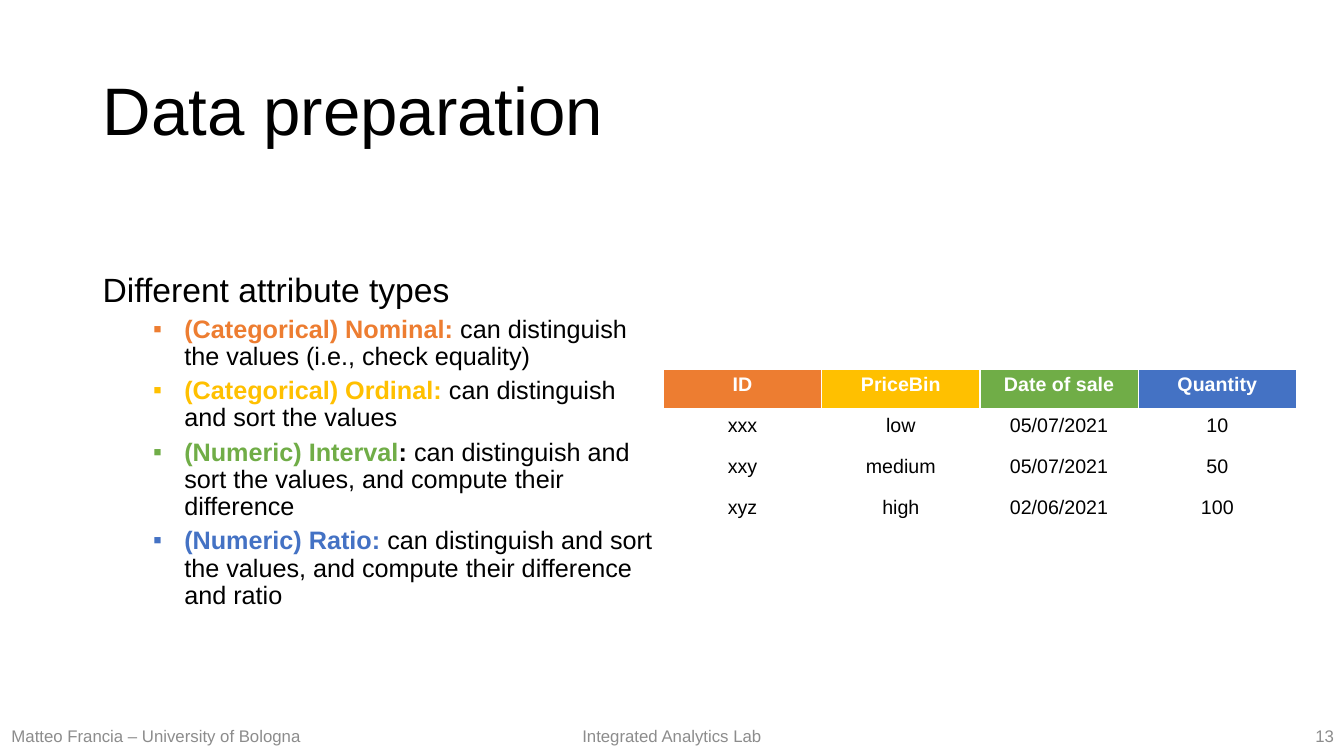
from dataclasses import dataclass

from lxml import etree
from pptx import Presentation
from pptx.dml.color import RGBColor
from pptx.enum.text import MSO_ANCHOR as Anchor, MSO_AUTO_SIZE as AutoSize, PP_ALIGN as Align
from pptx.oxml.ns import qn
from pptx.util import Inches, Pt


@dataclass(frozen=True)
class Theme:
    font: str = "Arial"
    black: str = "000000"
    white: str = "FFFFFF"
    gray: str = "8C8C8C"
    nominal: str = "ED7D31"
    ordinal: str = "FFC000"
    interval: str = "70AD47"
    ratio: str = "4472C4"
    title_size: int = 48
    lead_size: int = 24
    bullet_size: int = 18
    table_size: int = 14
    footer_size: int = 12


THEME = Theme()

ATTRIBUTE_TYPES = [
    [("(Categorical) Nominal: ", THEME.nominal, True),
     ("can distinguish the values (i.e., check equality)", THEME.black, False)],
    [("(Categorical) Ordinal: ", THEME.ordinal, True),
     ("can distinguish and sort the values", THEME.black, False)],
    [("(Numeric) Interval", THEME.interval, True),
     (": ", THEME.black, True),
     ("can distinguish and sort the values, and compute their difference", THEME.black, False)],
    [("(Numeric) Ratio: ", THEME.ratio, True),
     ("can distinguish and sort the values, and compute their difference and ratio",
      THEME.black, False)],
]

SALES = [
    ["ID", "PriceBin", "Date of sale", "Quantity"],
    ["xxx", "low", "05/07/2021", "10"],
    ["xxy", "medium", "05/07/2021", "50"],
    ["xyz", "high", "02/06/2021", "100"],
]


class SlideBuilder:
    def __init__(self, presentation, theme):
        self.theme = theme
        self.slide = presentation.slides.add_slide(presentation.slide_layouts[5])

    def add_run(self, paragraph, text, size, color, bold=False):
        run = paragraph.add_run()
        run.text = text
        font = run.font
        font.name, font.size, font.bold = self.theme.font, Pt(size), bold
        font.color.rgb = RGBColor.from_string(color)

    def title(self, text, left, top, width, height):
        shape = self.slide.shapes.title
        shape.left, shape.top = Inches(left), Inches(top)
        shape.width, shape.height = Inches(width), Inches(height)
        frame = shape.text_frame
        frame.auto_size = AutoSize.NONE
        frame.vertical_anchor = Anchor.MIDDLE
        paragraph = frame.paragraphs[0]
        paragraph.alignment, paragraph.line_spacing = Align.LEFT, 0.9
        self.add_run(paragraph, text, self.theme.title_size, self.theme.black)

    def text_frame(self, left, top, width, height):
        box = self.slide.shapes.add_textbox(
            Inches(left), Inches(top), Inches(width), Inches(height))
        frame = box.text_frame
        frame.word_wrap = True
        frame.vertical_anchor = Anchor.MIDDLE
        return frame

    def footer(self, text, left, width, alignment):
        paragraph = self.text_frame(left, 7.1, width, 0.4).paragraphs[0]
        paragraph.alignment = alignment
        self.add_run(paragraph, text, self.theme.footer_size, self.theme.gray)

    def bullet_list(self, lead, items, left, top, width, height):
        frame = self.text_frame(left, top, width, height)
        paragraph = frame.paragraphs[0]
        paragraph.line_spacing, paragraph.space_before = 0.9, Pt(10)
        self.add_run(paragraph, lead, self.theme.lead_size, self.theme.black)
        for runs in items:
            paragraph = frame.add_paragraph()
            paragraph.level = 1
            paragraph.line_spacing, paragraph.space_before = 0.9, Pt(5)
            self.set_bullet(paragraph, "▪")
            for text, color, bold in runs:
                self.add_run(paragraph, text, self.theme.bullet_size, color, bold)

    def set_bullet(self, paragraph, symbol):
        properties = paragraph._p.get_or_add_pPr()
        properties.set("marL", str(Inches(0.81)))
        properties.set("indent", str(Inches(-0.31)))
        etree.SubElement(properties, qn("a:buFont"), typeface=self.theme.font)
        etree.SubElement(properties, qn("a:buChar"), char=symbol)

    def set_borders(self, cell, top, bottom):
        properties = cell._tc.get_or_add_tcPr()
        for side, width in (("L", 1), ("R", 1), ("T", top), ("B", bottom)):
            line = etree.SubElement(properties, qn(f"a:ln{side}"), w=str(Pt(width)))
            fill = etree.SubElement(line, qn("a:solidFill"))
            etree.SubElement(fill, qn("a:srgbClr"), val=self.theme.white)

    def table(self, rows, header_colors, left, top, column_width, row_height):
        table = self.slide.shapes.add_table(
            len(rows), len(rows[0]), Inches(left), Inches(top),
            Inches(column_width * len(rows[0])), Inches(row_height * len(rows))).table
        table.horz_banding = False
        for column in table.columns:
            column.width = Inches(column_width)
        for row_index, values in enumerate(rows):
            table.rows[row_index].height = Inches(row_height)
            header = row_index == 0
            for column_index, text in enumerate(values):
                cell = table.cell(row_index, column_index)
                # The rule under the header is thicker than the others
                self.set_borders(cell, 3 if row_index == 1 else 1, 3 if header else 1)
                if header:
                    cell.fill.solid()
                    cell.fill.fore_color.rgb = RGBColor.from_string(header_colors[column_index])
                else:
                    cell.fill.background()
                paragraph = cell.text_frame.paragraphs[0]
                paragraph.alignment = Align.CENTER
                color = self.theme.white if header else self.theme.black
                self.add_run(paragraph, text, self.theme.table_size, color, header)


def main():
    presentation = Presentation()
    presentation.slide_width, presentation.slide_height = Inches(13.33), Inches(7.5)
    builder = SlideBuilder(presentation, THEME)

    # Title and attribute types
    builder.title("Data preparation", 0.92, 0.4, 11.5, 1.45)
    builder.bullet_list("Different attribute types", ATTRIBUTE_TYPES, 0.92, 2, 5.67, 4.76)

    # Example table, coloured by attribute type
    builder.table(SALES, [THEME.nominal, THEME.ordinal, THEME.interval, THEME.ratio],
                  6.58, 3.66, 1.57, 0.405)

    # Footer
    builder.footer("Matteo Francia – University of Bologna", 0, 3.1, Align.CENTER)
    builder.footer("Integrated Analytics Lab", 5.23, 2.87, Align.CENTER)
    builder.footer("13", 10.33, 3, Align.RIGHT)

    presentation.save("out.pptx")


if __name__ == "__main__":
    main()
